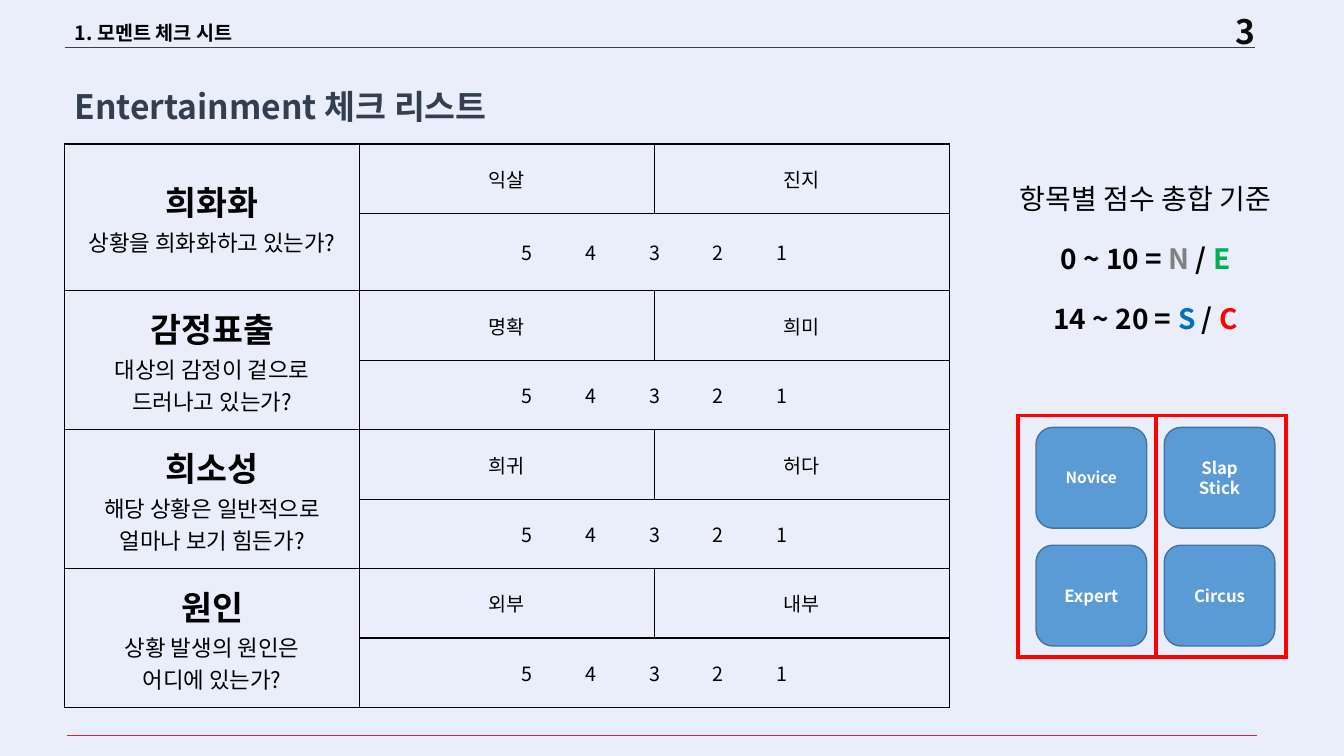
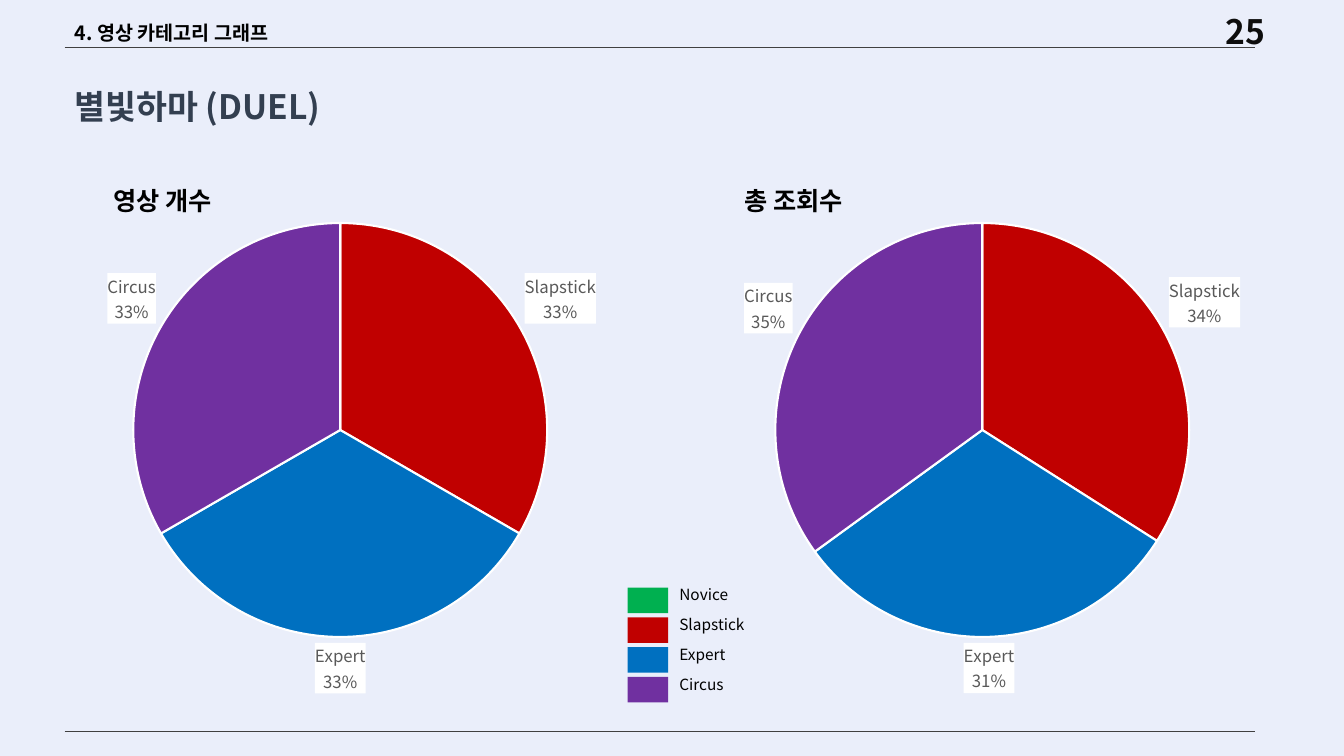
from dataclasses import dataclass

from lxml.etree import SubElement
from pptx import Presentation
from pptx.chart.data import CategoryChartData
from pptx.dml.color import RGBColor
from pptx.enum.chart import XL_CHART_TYPE, XL_LABEL_POSITION
from pptx.enum.shapes import MSO_CONNECTOR, MSO_SHAPE
from pptx.enum.text import MSO_ANCHOR, MSO_AUTO_SIZE, PP_ALIGN
from pptx.oxml import parse_xml
from pptx.oxml.ns import nsdecls, qn
from pptx.util import Cm, Pt


@dataclass(frozen=True)
class Theme:
    font: str = "Noto Sans CJK KR"
    back: str = "EAEEFA"
    ink: str = "000000"
    page: str = "0D0D0D"
    title: str = "333F50"
    rule: str = "404040"
    accent: str = "D02646"
    label: str = "595959"
    white: str = "FFFFFF"
    gray: str = "808080"
    green: str = "00B050"
    blue: str = "0070C0"
    red: str = "FF0000"
    crimson: str = "C00000"
    purple: str = "7030A0"
    tile: str = "5B9BD5"
    edge: str = "43739E"
    head: int = 24
    sum: int = 20
    sub: int = 18
    ask: int = 16
    body: int = 14
    small: int = 12
    tiny: int = 11


T = Theme()

# Content
CHECK = {"part": "1. 모멘트 체크 시트", "title": "Entertainment 체크 리스트", "page": "3"}
GRAPH = {"part": "4. 영상 카테고리 그래프", "title": "별빛하마 (DUEL)", "page": "25"}
ITEMS = [
    ("희화화", ["상황을 희화화하고 있는가?"], "익살", "진지"),
    ("감정표출", ["대상의 감정이 겉으로", "드러나고 있는가?"], "명확", "희미"),
    ("희소성", ["해당 상황은 일반적으로", "얼마나 보기 힘든가?"], "희귀", "허다"),
    ("원인", ["상황 발생의 원인은", "어디에 있는가?"], "외부", "내부"),
]
SCORES = "54321"
RULES = [
    [("항목별 점수 총합 기준", T.ink)],
    [("0 ~ 10 = ", T.ink), ("N ", T.gray), ("/ ", T.ink), ("E", T.green)],
    [("14 ~ 20 = ", T.ink), ("S ", T.blue), ("/ ", T.ink), ("C", T.red)],
]
TILES = [
    [(["Novice"], T.tiny), (["Slap", "Stick"], T.small)],
    [(["Expert"], T.small), (["Circus"], T.small)],
]
FRAMES = [(25.63, 3.53), (29.11, 3.33)]
KINDS = [("Novice", T.green), ("Slapstick", T.crimson), ("Expert", T.blue), ("Circus", T.purple)]
PIES = [
    ("영상 개수", [0, 33, 33, 33], 0, 1.63),
    ("총 조회수", [0, 34, 31, 35], 16.18, 17.53),
]


# Helpers
def rgb(code):
    return RGBColor.from_string(code)


def style(font, size, color, bold=False):
    font.size, font.bold = Pt(size), bold
    font.color.rgb = rgb(color)
    font.name = T.font


def write(frame, *paras, size=T.body, color=T.ink, bold=False,
          align=PP_ALIGN.CENTER, line=None, gap=None):
    """Add paragraphs; each is a string or a list of (text, colour) runs."""
    for para in paras:
        first = frame.paragraphs[0]
        p = frame.add_paragraph() if first.runs else first
        p.alignment = align
        if line:
            p.line_spacing = line
        if gap:
            p.space_before = Pt(gap)
        runs = [(para, color)] if isinstance(para, str) else para
        for text, tone in runs:
            run = p.add_run()
            run.text = text
            style(run.font, size, tone, bold)
            SubElement(run.font._element, qn("a:ea"), typeface=T.font)


def box(slide, left, top, width, height, anchor=MSO_ANCHOR.TOP):
    frame = slide.shapes.add_textbox(Cm(left), Cm(top), Cm(width), Cm(height)).text_frame
    frame.word_wrap = True
    frame.auto_size = MSO_AUTO_SIZE.SHAPE_TO_FIT_TEXT
    frame.vertical_anchor = anchor
    return frame


def block(slide, kind, left, top, width, height, fill, edge=None):
    shape = slide.shapes.add_shape(kind, Cm(left), Cm(top), Cm(width), Cm(height))
    shape.shadow.inherit = False
    shape.fill.solid()
    shape.fill.fore_color.rgb = rgb(fill)
    if edge:
        shape.line.color.rgb = rgb(edge)
        shape.line.width = Pt(1)
    else:
        shape.line.fill.background()
    return shape


def rule(slide, left, top, color):
    line = slide.shapes.add_connector(
        MSO_CONNECTOR.STRAIGHT, Cm(left), Cm(top), Cm(left + 30), Cm(top))
    line.line.color.rgb = rgb(color)
    line.line.width = Pt(0.5)
    SubElement(line._element.spPr, qn("a:effectLst"))


def start(deck, info):
    """Add a slide with the shared header."""
    slide = deck.slides.add_slide(deck.slide_layouts[6])
    write(box(slide, 29.34, 0.15, 4.09, 1.02), info["page"],
          size=T.head, color=T.page, bold=True)
    rule(slide, 1.63, 1.2, T.rule)
    for key, top, width, height, size, color in (
            ("title", 1.52, 11.38, 1.8, T.head, T.title),
            ("part", 0.15, 8.03, 1.04, T.body, T.ink)):
        write(box(slide, 1.63, top, width, height, MSO_ANCHOR.MIDDLE), info[key],
              size=size, color=color, bold=True, align=PP_ALIGN.LEFT, line=1.5)
    return slide


# Check list
def border(cell):
    cell.fill.background()
    cell.vertical_anchor = MSO_ANCHOR.MIDDLE
    for i, side in enumerate(("lnL", "lnR", "lnT", "lnB")):
        cell._tc.tcPr.insert(i, parse_xml(
            f'<a:{side} {nsdecls("a")} w="12700"><a:solidFill>'
            f'<a:srgbClr val="{T.ink}"/></a:solidFill></a:{side}>'))


def score(cell, width, pitch=1.61):
    """Write the scores on centred tab stops around the middle of the cell."""
    frame = cell.text_frame
    write(frame, "".join("\t" + mark for mark in SCORES), align=PP_ALIGN.LEFT)
    stops = SubElement(frame.paragraphs[0]._p.get_or_add_pPr(), qn("a:tabLst"))
    first = width / 2 - 0.25 - pitch * (len(SCORES) - 1) / 2
    for i in range(len(SCORES)):
        SubElement(stops, qn("a:tab"), pos=str(Cm(first + i * pitch)), algn="ctr")


def sheet(slide):
    wide, high, count = 7.43, 1.75, 2 * len(ITEMS)
    grid = slide.shapes.add_table(
        count, 3, Cm(1.63), Cm(3.63), Cm(3 * wide), Cm(count * high)).table
    grid.first_row = grid.horz_banding = False
    for col in grid.columns:
        col.width = Cm(wide)
    for i, row in enumerate(grid.rows):
        row.height = Cm(1.94 if i == 1 else high)
    for cell in grid.iter_cells():
        border(cell)
    for i, (name, ask, left, right) in enumerate(ITEMS):
        top, low = 2 * i, 2 * i + 1
        grid.cell(top, 0).merge(grid.cell(low, 0))
        grid.cell(low, 1).merge(grid.cell(low, 2))
        frame = grid.cell(top, 0).text_frame
        write(frame, name, size=T.head, bold=True)
        write(frame, *ask, size=T.ask)
        for col, text in enumerate((left, right), 1):
            write(grid.cell(top, col).text_frame, text)
        score(grid.cell(low, 1), 2 * wide)


def check(deck):
    slide = start(deck, CHECK)
    rule(slide, 1.68, 18.54, T.accent)
    sheet(slide)
    frame = box(slide, 25.04, 4.45, 7.65, 4.52)
    write(frame, RULES[0], size=T.sum)
    write(frame, *RULES[1:], size=T.sum, bold=True, gap=19)
    for i, row in enumerate(TILES):
        for j, (lines, size) in enumerate(row):
            tile = block(slide, MSO_SHAPE.ROUNDED_RECTANGLE, 26.11 + 3.23 * j,
                         10.77 + 2.97 * i, 2.79, 2.54, T.tile, T.edge)
            tile.text_frame.vertical_anchor = MSO_ANCHOR.MIDDLE
            write(tile.text_frame, *lines, size=size, color=T.white, bold=True)
    for left, width in FRAMES:
        ring = block(slide, MSO_SHAPE.FRAME, left, 10.44, width, 6.15, T.red, T.red)
        ring.adjustments[0] = 0.016


# Category graphs
def pie(slide, name, values, left):
    data = CategoryChartData()
    data.categories = [kind for kind, _ in KINDS]
    data.add_series(name, values)
    chart = slide.shapes.add_chart(
        XL_CHART_TYPE.PIE, Cm(left), Cm(5.23), Cm(17.68), Cm(12.6), data).chart
    chart.has_legend = chart.has_title = False
    style(chart.font, 10, T.ink)
    plot = chart.plots[0]
    plot.vary_by_categories = True
    series = plot.series[0]
    for i, (_, color) in enumerate(KINDS):
        look = series.points[i].format
        look.fill.solid()
        look.fill.fore_color.rgb = rgb(color)
        look.line.color.rgb = rgb(T.white)
        look.line.width = Pt(1.5)

    # Labels on white, none for empty slices
    tags = series.data_labels
    style(tags.font, T.small, T.label)
    tags.show_value = False
    tags.show_category_name = tags.show_percentage = True
    tags.number_format, tags.number_format_is_linked = "0%", False
    tags.position = XL_LABEL_POSITION.OUTSIDE_END
    node = tags._element
    node.find(qn("c:txPr")).addprevious(parse_xml(
        f'<c:spPr {nsdecls("c", "a")}><a:solidFill><a:srgbClr val="{T.white}"/>'
        '</a:solidFill></c:spPr>'))
    node.find(qn("c:showBubbleSize")).addnext(parse_xml(
        f'<c:separator {nsdecls("c")}>\n</c:separator>'))
    empty = [i for i, value in enumerate(values) if not value]
    for spot, i in enumerate(empty):
        node.insert(spot, parse_xml(
            f'<c:dLbl {nsdecls("c")}><c:idx val="{i}"/><c:delete val="1"/></c:dLbl>'))

    # Fixed place of the circle in its chart
    area = chart._chartSpace.chart.plotArea
    for old in area.findall(qn("c:layout")):
        area.remove(old)
    sizes = "".join(f'<c:{key} val="{value}"/>' for key, value in
                    (("x", 0.19), ("y", 0.03), ("w", 0.59), ("h", 0.83)))
    area.insert(0, parse_xml(
        f'<c:layout {nsdecls("c")}><c:manualLayout><c:layoutTarget val="inner"/>'
        f'<c:xMode val="edge"/><c:yMode val="edge"/>{sizes}</c:manualLayout></c:layout>'))


def graph(deck):
    slide = start(deck, GRAPH)
    rule(slide, 1.63, 18.44, T.rule)
    for name, values, left, _ in PIES:
        pie(slide, name, values, left)
    for name, _, _, left in PIES:
        write(box(slide, left, 4.55, 4.95, 1.02), name, size=T.sub, bold=True)
    for i, (name, color) in enumerate(KINDS):
        drop = 0.75 * i
        block(slide, MSO_SHAPE.RECTANGLE, 15.82, 14.81 + drop, 1.02, 0.64, color)
        write(box(slide, 16.87, 14.63 + drop, 2.36, 0.74), name,
              size=T.tiny, align=PP_ALIGN.LEFT)


def main():
    deck = Presentation()
    deck.slide_width, deck.slide_height = Cm(33.87), Cm(19.05)
    fill = deck.slide_master.background.fill
    fill.solid()
    fill.fore_color.rgb = rgb(T.back)
    check(deck)
    graph(deck)
    deck.save("out.pptx")


if __name__ == "__main__":
    main()
